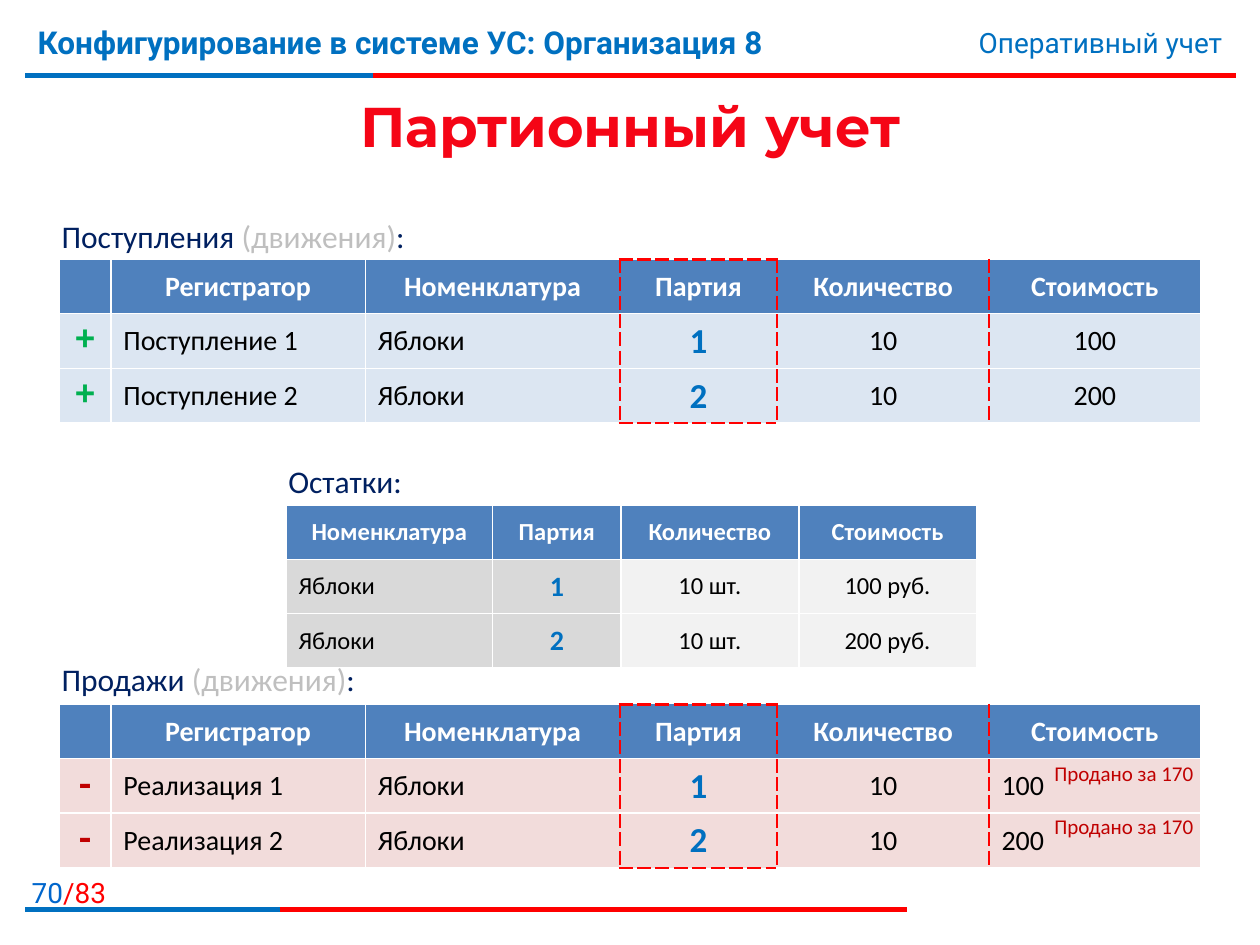
from lxml import etree
from pptx import Presentation
from pptx import util as u
from pptx.dml.color import RGBColor
from pptx.enum import shapes, text
from pptx.oxml import parse_xml
from pptx.oxml.ns import nsdecls, qn

RED, BLUE, NAVY, GREY = "FF0000", "0070C0", "002060", "BFBFBF"
HEADER, BLACK, WHITE, DARK_RED = "4F81BD", "000000", "FFFFFF", "C00000"
LEFT, CENTER, RIGHT = text.PP_ALIGN.LEFT, text.PP_ALIGN.CENTER, text.PP_ALIGN.RIGHT
ROW_HEIGHT = 0.43
BATCH = 3  # column framed with a red dashed line


def color(value):
    return RGBColor.from_string(value)


def add_span(para, words, size, fill, font="Calibri", bold=False):
    span = para.add_run()
    span.text = words
    span.font.size = u.Pt(size)
    span.font.name = font
    span.font.bold = bold
    span.font.color.rgb = color(fill)


def add_label(page, place, spans, size=18, font="Calibri", bold=False, align=LEFT, wrap=False):
    box = page.shapes.add_textbox(*(u.Inches(v) for v in place))
    box.text_frame.word_wrap = wrap
    para = box.text_frame.paragraphs[0]
    para.alignment = align
    for words, fill in spans:
        add_span(para, words, size, fill, font, bold)


def add_rule(page, y, split, end):
    """Red line with a blue first part."""
    for stop, fill in ((end, RED), (split, BLUE)):
        line = page.shapes.add_connector(
            shapes.MSO_CONNECTOR.STRAIGHT,
            u.Inches(0.2), u.Inches(y), u.Inches(stop), u.Inches(y))
        line.line.color.rgb = color(fill)
        line.line.width = u.Pt(3)
        etree.SubElement(line._element.spPr, qn("a:effectLst"))


def add_title(page, words):
    title = page.shapes.title
    title.left, title.top, title.width, title.height = (
        u.Inches(v) for v in (0.21, 0.61, 9.59, 0.77))
    title.text_frame.vertical_anchor = text.MSO_ANCHOR.MIDDLE
    para = title.text_frame.paragraphs[0]
    para.alignment = CENTER
    span = para.add_run()
    span.text = words
    font = span.font
    font.size, font.name, font.bold = u.Pt(32), "Montserrat", True
    font.fill.gradient()
    font.fill.gradient_angle = 270
    for stop, (place, fill) in zip(font.fill.gradient_stops, ((0.55, "F50516"), (0.86, DARK_RED))):
        stop.position = place
        stop.color.rgb = color(fill)
    # Thin white outline of the letters
    span._r.get_or_add_rPr().insert(0, parse_xml(
        f'<a:ln {nsdecls("a")} w="9525"><a:solidFill><a:srgbClr val="{WHITE}"/></a:solidFill></a:ln>'))


def add_dashes(cell, sides):
    """Red dashed borders; the other sides come from the table style."""
    for side in sides:
        cell._tc.get_or_add_tcPr().append(parse_xml(
            f'<a:ln{side} {nsdecls("a")} w="19050"><a:solidFill><a:srgbClr val="{RED}"/>'
            f'</a:solidFill><a:prstDash val="dash"/></a:ln{side}>'))


def fill_cell(cell, words, fill, size, ink, bold=False, align=CENTER, font="Calibri", dashes=""):
    add_dashes(cell, dashes)
    cell.fill.solid()
    cell.fill.fore_color.rgb = color(fill)
    cell.vertical_anchor = text.MSO_ANCHOR.MIDDLE
    if words:
        para = cell.text_frame.paragraphs[0]
        para.alignment = align
        add_span(para, words, size, ink, font, bold)


def add_grid(page, left, top, widths, row_count):
    frame = page.shapes.add_table(
        row_count, len(widths), u.Inches(left), u.Inches(top),
        u.Inches(sum(widths)), u.Inches(ROW_HEIGHT * row_count))
    for column, width in zip(frame.table.columns, widths):
        column.width = u.Inches(width)
    for row in frame.table.rows:
        row.height = u.Inches(ROW_HEIGHT)
    return frame.table


def add_movements(page, top, sign, sign_ink, fill, document, costs, cost_align):
    """Register movements: one signed row for each batch."""
    grid = add_grid(page, 0.47, top, (0.41, 2.02, 2.02, 1.25, 1.68, 1.68), len(costs) + 1)
    frame_sides = {BATCH - 1: "R", BATCH: "LR", BATCH + 1: "L"}
    heads = ("", "Регистратор", "Номенклатура", "Партия", "Количество", "Стоимость")
    for col, head in enumerate(heads):
        sides = frame_sides.get(col, "") + ("T" if col == BATCH else "")
        fill_cell(grid.cell(0, col), head, HEADER, 16, WHITE, True, dashes=sides)
    for row, cost in enumerate(costs, 1):
        values = (sign, f"{document} {row}", "Яблоки", str(row), "10", cost)
        aligns = (CENTER, LEFT, LEFT, CENTER, CENTER, cost_align)
        for col, (value, align) in enumerate(zip(values, aligns)):
            cell = grid.cell(row, col)
            size, ink, bold, font = 16, BLACK, False, "Calibri"
            sides = frame_sides.get(col, "")
            if col == 0:
                size, ink, bold, font = 20, sign_ink, True, "Courier New"
                cell.margin_left = cell.margin_right = cell.margin_top = cell.margin_bottom = 0
            elif col == BATCH:
                size, ink, bold = 20, BLUE, True
                sides += "B" if row == len(costs) else ""
            fill_cell(cell, value, fill, size, ink, bold, align, font, sides)


def add_balance(page, costs):
    grid = add_grid(page, 2.27, 4.01, (1.64, 1.02, 1.41, 1.41), len(costs) + 1)
    for col, head in enumerate(("Номенклатура", "Партия", "Количество", "Стоимость")):
        fill_cell(grid.cell(0, col), head, HEADER, 14, WHITE, True)
    for row, cost in enumerate(costs, 1):
        fill_cell(grid.cell(row, 0), "Яблоки", "D9D9D9", 14, BLACK, align=LEFT)
        fill_cell(grid.cell(row, 1), str(row), "D9D9D9", 16, BLUE, True)
        fill_cell(grid.cell(row, 2), "10 шт.", "F2F2F2", 14, BLACK)
        fill_cell(grid.cell(row, 3), f"{cost} руб.", "F2F2F2", 14, BLACK)


def main():
    deck = Presentation()
    deck.slide_width, deck.slide_height = u.Inches(10), u.Inches(7.5)
    page = deck.slides.add_slide(deck.slide_layouts[5])
    costs = ("100", "200")

    # Header and footer
    add_rule(page, 0.6, 2.96, 9.81)
    add_rule(page, 7.22, 2.22, 7.2)
    add_label(page, (-0.1, 6.9, 1.04, 0.32), [("70", "0066CC"), ("/83", RED)],
              16, "Roboto", align=RIGHT, wrap=True)
    add_label(page, (0.2, 0.13, 7.4, 0.62),
              [("Конфигурирование в системе УС: Организация 8", BLUE)], 18, "Roboto", True, wrap=True)
    add_label(page, (5.94, 0.15, 3.86, 0.37), [("Оперативный учет", BLUE)],
              16, "Roboto", align=RIGHT, wrap=True)
    add_title(page, "Партионный учет")

    # Receipts
    add_movements(page, 2.06, "+", "00B050", "DCE6F2", "Поступление", costs, CENTER)
    add_label(page, (0.39, 1.67, 2.95, 0.4),
              [("Поступления ", NAVY), ("(движения)", GREY), (":", NAVY)])

    # Balance
    add_balance(page, costs)
    add_label(page, (2.19, 3.62, 1.11, 0.4), [("Остатки:", NAVY)])

    # Sales
    add_movements(page, 5.59, "-", DARK_RED, "F2DCDB", "Реализация", costs, LEFT)
    add_label(page, (0.39, 5.19, 2.56, 0.4),
              [("Продажи ", NAVY), ("(движения)", GREY), (":", NAVY)])
    for top in (5.99, 6.41):
        add_label(page, (8.26, top, 1.32, 0.3), [("Продано за 170", DARK_RED)], 12, align=CENTER)

    deck.save("out.pptx")


if __name__ == "__main__":
    main()
